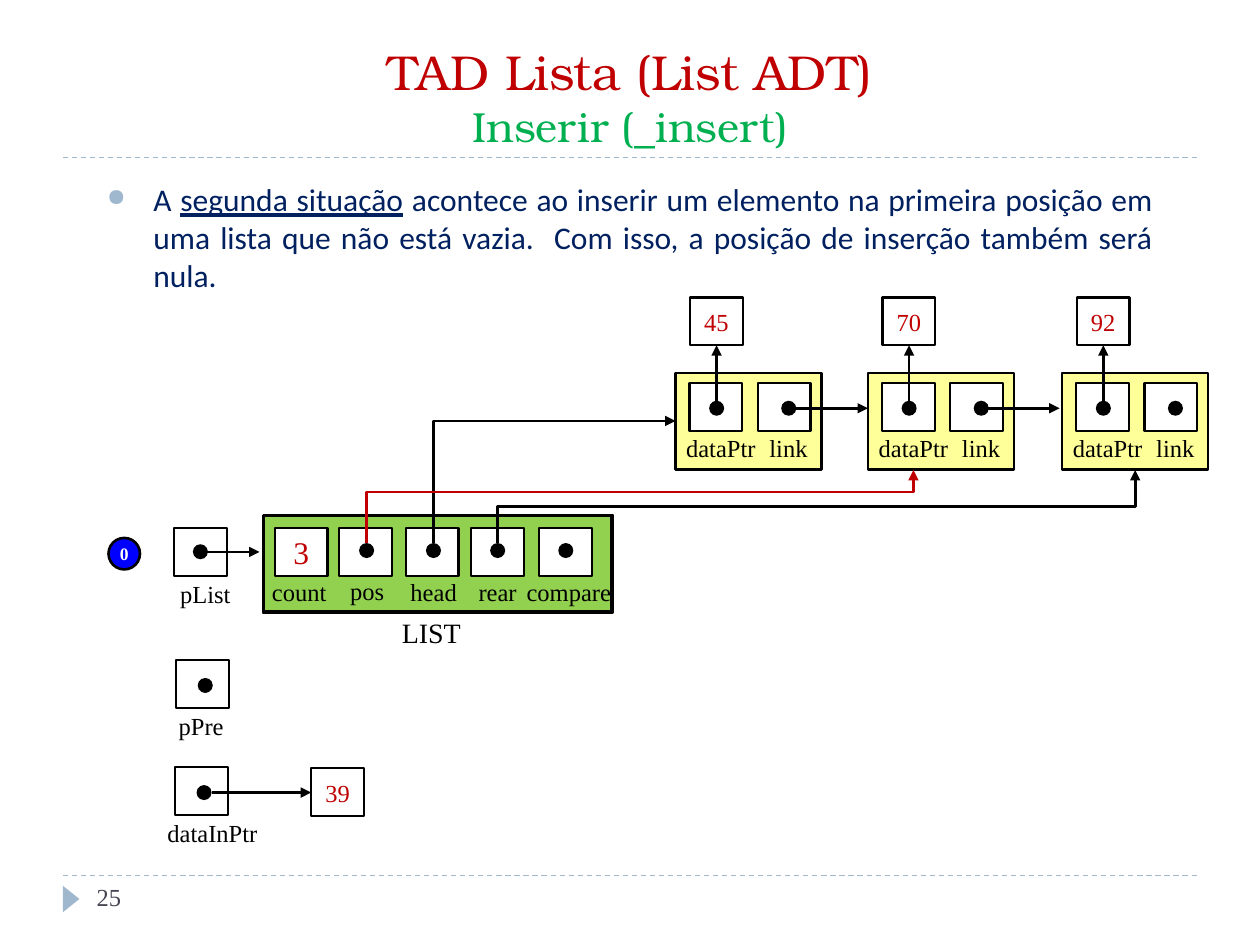
from typing import NamedTuple

from lxml import etree
from pptx import Presentation
from pptx.dml.color import RGBColor
from pptx.enum import dml, shapes, text
from pptx.oxml import ns
from pptx.util import Pt

SERIF = "Times New Roman"
BLACK, WHITE, RED, BLUE = "000000", "FFFFFF", "C00000", "9FB8CD"
CELL_W, CELL_H, DOT = 30.2, 27.4, 8.6
KIND = shapes.MSO_SHAPE
LINK = shapes.MSO_CONNECTOR


class Field(NamedTuple):
    name: str
    x: float
    label_x: float
    label_y: float
    label_w: float
    dot_x: float = 0
    value: str = ""


class Node(NamedTuple):
    x: float
    value: str
    next_x: float = 0


class Pointer(NamedTuple):
    name: str
    x: float
    y: float
    label_x: float
    label_w: float
    dot_x: float
    dot_y: float


class Elbow(NamedTuple):
    x: float
    end_x: float
    end_y: float
    preset: str
    bend: float
    color: str


FIELDS = [
    Field("count", 157, 148.3, 326.2, 46, value="3"),
    Field("pos", 193.7, 193, 325.4, 34.6, 205.2),
    Field("head", 231.8, 227.5, 326.2, 41, 243.4),
    Field("rear", 269.3, 266.4, 326.2, 36.7, 280.1),
    Field("compare", 308.2, 293.8, 326.2, 63.4, 319),
]
NODES = [Node(386, "45", 496), Node(496, "70", 605.5), Node(607, "92")]
POINTERS = [
    Pointer("pList", 99.4, 301.7, 95.8, 44, 110.2, 311),
    Pointer("pPre", 100.8, 377.3, 95, 40.3, 113, 387.4),
    Pointer("dataInPtr", 100.1, 438.5, 88.6, 66.2, 112.3, 448.6),
]
ELBOWS = [
    Elbow(247.7, 386, 240.5, "bentConnector2", 0, BLACK),
    Elbow(284.4, 648.7, 268.6, "bentConnector3", 0.5, BLACK),
    Elbow(209.5, 522, 268.6, "bentConnector3", 0.7, RED),
]


def rgb(code: str) -> RGBColor:
    return RGBColor.from_string(code)


def node(parent, tag: str, **attrs):
    item = etree.SubElement(parent, ns.qn(tag))
    for key, val in attrs.items():
        item.set(key, str(val))
    return item


def write(para, words: str, size: float, color: str, face: str = SERIF, **extra) -> None:
    run = para.add_run()
    run.text = words
    for key, val in {"name": face, "size": Pt(size), **extra}.items():
        setattr(run.font, key, val)
    run.font.color.rgb = rgb(color)


def shape(slide, kind, x: float, y: float, w: float, h: float, fill: str,
          line: float = 0, words: str = "", size: float = 14,
          color: str = RED, **extra):
    item = slide.shapes.add_shape(kind, Pt(x), Pt(y), Pt(w), Pt(h))
    item.shadow.inherit = False
    item.fill.solid()
    item.fill.fore_color.rgb = rgb(fill)
    if line:
        item.line.width = Pt(line)
        item.line.color.rgb = rgb(BLACK)
    else:
        item.line.fill.background()
    if words:
        frame = item.text_frame
        frame.word_wrap = False
        frame.vertical_anchor = text.MSO_ANCHOR.MIDDLE
        frame.paragraphs[0].alignment = text.PP_ALIGN.CENTER
        write(frame.paragraphs[0], words, size, color, **extra)
    return item


def cell(slide, x: float, y: float, words: str = "", size: float = 14) -> None:
    shape(slide, KIND.RECTANGLE, x, y, CELL_W, CELL_H, WHITE, 1.25, words, size)


def dot(slide, x: float, y: float) -> None:
    shape(slide, KIND.OVAL, x, y, DOT, DOT, BLACK)


def label(slide, words: str, x: float, y: float, w: float, h: float = 24.5,
          size: float = 14, color: str = BLACK) -> None:
    box = slide.shapes.add_textbox(Pt(x), Pt(y), Pt(w), Pt(h))
    box.text_frame.word_wrap = False
    write(box.text_frame.paragraphs[0], words, size, color)


def line(slide, x: float, y: float, end_x: float, end_y: float, color: str = BLACK,
         width: float = 1.5, kind=LINK.STRAIGHT, arrow: bool = True):
    item = slide.shapes.add_connector(kind, Pt(x), Pt(y), Pt(end_x), Pt(end_y))
    item.line.width = Pt(width)
    item.line.color.rgb = rgb(color)
    if arrow:
        node(item.line._get_or_add_ln(), "a:tailEnd", type="triangle")
    else:
        item.line.dash_style = dml.MSO_LINE.DASH
    node(item.element.spPr, "a:effectLst")
    return item


def draw_elbow(slide, elbow: Elbow, y: float) -> None:
    """Draw a bent arrow that leaves upward: the preset turned by 270 degrees."""
    wide, high = y - elbow.end_y, elbow.end_x - elbow.x
    left = (elbow.x + elbow.end_x - wide) / 2
    top = (y + elbow.end_y - high) / 2
    item = line(slide, left, top, left + wide, top + high, elbow.color, kind=LINK.ELBOW)
    item.rotation = 270
    props = item.element.spPr
    props.find(ns.qn("a:xfrm")).set("rot", str(270 * 60000))
    geom = props.find(ns.qn("a:prstGeom"))
    geom.set("prst", elbow.preset)
    if elbow.bend:
        guides = geom.find(ns.qn("a:avLst"))
        node(guides, "a:gd", name="adj1", fmla=f"val {round(elbow.bend * 100000)}")


def draw_node(slide, item: Node) -> None:
    x = item.x
    shape(slide, KIND.RECTANGLE, x, 213, 83.5, 55.4, "FFFF99", 1.25)
    for name, box_x, text_x, width in (("dataPtr", 8, -1, 54.7), ("link", 47, 46.6, 36.7)):
        cell(slide, x + box_x, 219)
        label(slide, name, x + text_x, 244, width)
    line(slide, x + 23.5, 229, x + 23.5, 197.3)
    cell(slide, x + 8.3, 170, item.value)
    if item.next_x:
        line(slide, x + 64.7, 233.3, item.next_x, 233.3)
    for dot_x in (19.2, 60.4):
        dot(slide, x + dot_x, 229)


def draw_title(slide) -> None:
    title = slide.shapes.title
    sizes = {"left": 36, "top": 18, "width": 648, "height": 72}
    for key, val in sizes.items():
        setattr(title, key, Pt(val))
    frame = title.text_frame
    frame.auto_size = text.MSO_AUTO_SIZE.NONE
    frame.vertical_anchor = text.MSO_ANCHOR.BOTTOM
    para = frame.paragraphs[0]
    para.alignment = text.PP_ALIGN.CENTER
    write(para, "TAD Lista (List ADT)", 28, RED, "TeX Gyre Bonum")
    para.add_line_break()
    write(para, "Inserir (_insert)", 24, "00B050", "TeX Gyre Bonum")


def draw_body(slide) -> None:
    box = slide.shapes.add_textbox(Pt(54), Pt(99.4), Pt(612), Pt(73.4))
    box.text_frame.word_wrap = True
    para = box.text_frame.paragraphs[0]
    para.alignment = text.PP_ALIGN.JUSTIFY
    props = para._p.get_or_add_pPr()
    props.set("marL", str(Pt(26.6)))
    props.set("indent", str(Pt(-26.6)))
    node(node(props, "a:buClr"), "a:srgbClr", val=BLUE)
    node(props, "a:buSzPct", val=76000)
    node(props, "a:buChar", char="●")
    write(para, "A ", 18, "002060", "Calibri")
    write(para, "segunda situação", 18, "002060", "Calibri", underline=True)
    write(para, " acontece ao inserir um elemento na primeira posição em uma lista que "
          "não está vazia.  Com isso, a posição de inserção também será nula.",
          18, "002060", "Calibri")


def main() -> None:
    deck = Presentation()
    deck.slide_width, deck.slide_height = Pt(720), Pt(540)
    slide = deck.slides.add_slide(deck.slide_layouts[5])
    for y in (500.4, 90):
        line(slide, 36, y, 684, y, BLUE, 0.75, arrow=False)
    shape(slide, KIND.ISOSCELES_TRIANGLE, 33.1, 509, 15.1, 9.4, BLUE).rotation = 90
    draw_title(slide)
    label(slide, "25", 48.2, 500.4, 156, 28.8, color="464653")
    draw_body(slide)
    shape(slide, KIND.OVAL, 62, 307.4, 18, 18, "0000FF", 1.5, "0", 10, WHITE, bold=True)

    for item in POINTERS:
        cell(slide, item.x, item.y)
        label(slide, item.name, item.label_x, item.y + 25.6, item.label_w)
        dot(slide, item.dot_x, item.dot_y)
    line(slide, 113.8, 315.4, 148.3, 315.4)
    line(slide, 121, 452.9, 177.8, 452.9)
    cell(slide, 177.8, 439, "39")

    shape(slide, KIND.RECTANGLE, 150.5, 294.5, 199.4, 55.4, "92D050", 2)
    label(slide, "LIST", 222.5, 348.5, 49, 26.6, 16)
    for item in FIELDS:
        cell(slide, item.x, 301.7, item.value, 18)
        label(slide, item.name, item.label_x, item.label_y, item.label_w)
        if item.dot_x:
            dot(slide, item.dot_x, 310.3)
    for item in NODES:
        draw_node(slide, item)
    for elbow in ELBOWS:
        draw_elbow(slide, elbow, 310.3)
    deck.save("out.pptx")


if __name__ == "__main__":
    main()
